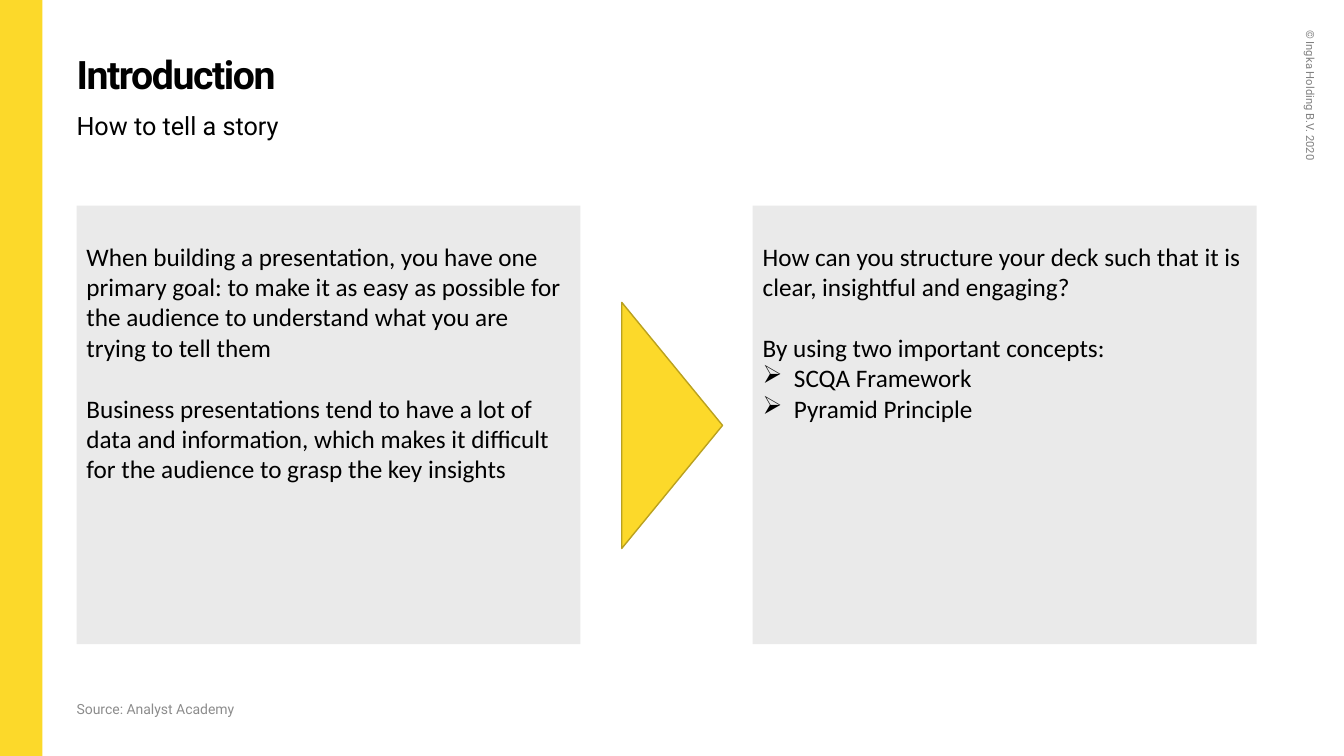
"""Build the introduction slide on how to tell a story."""
from dataclasses import dataclass

from lxml import etree
from pptx import Presentation
from pptx.dml.color import RGBColor
from pptx.enum.shapes import MSO_SHAPE
from pptx.enum.text import MSO_ANCHOR, PP_ALIGN
from pptx.oxml.ns import qn
from pptx.util import Cm, Pt

RECT, ARROW = MSO_SHAPE.RECTANGLE, MSO_SHAPE.RIGHT_ARROW
TOP, MIDDLE, BOTTOM = MSO_ANCHOR.TOP, MSO_ANCHOR.MIDDLE, MSO_ANCHOR.BOTTOM
LEFT = PP_ALIGN.LEFT


@dataclass(frozen=True)
class Theme:
    """Colours, fonts and type sizes of the slide."""
    yellow: str = "FCD92A"
    outline: str = "BAA11F"
    panel: str = "EAEAEA"
    ink: str = "000000"
    source: str = "8C8C8C"
    copyright: str = "808080"
    heading_font: str = "Roboto"
    body_font: str = "Calibri"
    title: int = 28
    body: int = 18
    small: int = 10
    tiny: int = 8


THEME = Theme()
MARGIN = 1.93
PANEL_TOP = 5.18
PANEL_LEFTS = (MARGIN, 18.97)
PANEL_TEXTS = (
    (("When building a presentation, you have one primary goal: to make it as easy "
      "as possible for the audience to understand what you are trying to tell them", False),
     ("Business presentations tend to have a lot of data and information, which makes "
      "it difficult for the audience to grasp the key insights", False)),
    (("How can you structure your deck such that it is clear, insightful and engaging?", False),
     ("By using two important concepts:", False),
     ("SCQA Framework", True),
     ("Pyramid Principle", True)),
)


def style_font(font, name, size, color, bold=False):
    """Set the face, size, colour and weight of a font."""
    font.name, font.size, font.bold = name, Pt(size), bold
    font.color.rgb = RGBColor.from_string(color)


def set_insets(tf, left, top, right, bottom):
    """Set the four text margins in centimetres."""
    tf.margin_left, tf.margin_top = Cm(left), Cm(top)
    tf.margin_right, tf.margin_bottom = Cm(right), Cm(bottom)


def add_block(s, preset, x, y, w, h, fill, outline=None):
    """Add a flat filled shape, outlined when a colour is given."""
    sp = s.shapes.add_shape(preset, Cm(x), Cm(y), Cm(w), Cm(h))
    sp.shadow.inherit = False
    sp.fill.solid()
    sp.fill.fore_color.rgb = RGBColor.from_string(fill)
    if outline:
        sp.line.color.rgb = RGBColor.from_string(outline)
        sp.line.width = Pt(1)
    else:
        sp.line.fill.background()
    return sp


def add_label(s, text, box, size, color, anchor=TOP, insets=(0, 0.13, 0.25, 0.13), bold=False):
    """Add a single-line text box in the heading font."""
    sp = s.shapes.add_textbox(*(Cm(v) for v in box))
    tf = sp.text_frame
    tf.word_wrap = True
    tf.vertical_anchor = anchor
    set_insets(tf, *insets)
    tf.text = text
    style_font(tf.paragraphs[0].runs[0].font, THEME.heading_font, size, color, bold)
    return sp


def add_bullet(p):
    """Give a paragraph an arrow bullet with a hanging indent."""
    pPr = p._p.get_or_add_pPr()
    pPr.set("marL", str(Cm(0.79)))
    pPr.set("indent", str(-Cm(0.79)))
    etree.SubElement(pPr, qn("a:buChar")).set("char", "➢")


def add_panel(s, x, items):
    """Add a grey panel of paragraphs, given as pairs of text and bullet flag."""
    tf = add_block(s, RECT, x, PANEL_TOP, 12.7, 11.05, THEME.panel).text_frame
    tf.word_wrap = True
    tf.vertical_anchor = TOP
    set_insets(tf, 0.25, 0.9, 0.25, 0.13)
    for i, (text, bulleted) in enumerate(items):
        p = tf.add_paragraph() if i else tf.paragraphs[0]
        p.text = text
        p.alignment = LEFT
        if bulleted:
            add_bullet(p)
        elif i:
            p.space_before = Pt(22)
        style_font(p.runs[0].font, THEME.body_font, THEME.body, THEME.ink)


def main():
    """Build the slide and save it."""
    prs = Presentation()
    prs.slide_width, prs.slide_height = Cm(33.87), Cm(19.05)
    s = prs.slides.add_slide(prs.slide_layouts[6])

    add_block(s, RECT, 0, 0, 1.07, 19.05, THEME.yellow)
    notice = add_label(s, "© Ingka Holding B.V. 2020", (29.03, 4.01, 8, 1),
                       THEME.tiny, THEME.copyright, MIDDLE, (0.25, 0.13, 0.25, 0.13))
    notice.rotation = 90

    title = add_label(s, "Introduction", (MARGIN, 0.76, 30.5, 1.83),
                      THEME.title, THEME.ink, BOTTOM, bold=True)
    p = title.text_frame.paragraphs[0]
    p.line_spacing = 0.9
    p.runs[0].font._element.set("spc", "-100")
    subtitle = add_label(s, "How to tell a story", (MARGIN, 2.64, 30.5, 1.14),
                         THEME.body, THEME.ink, MIDDLE)
    subtitle.text_frame.paragraphs[0].line_spacing = 0.9

    for x, items in zip(PANEL_LEFTS, PANEL_TEXTS):
        add_panel(s, x, items)
    arrow = add_block(s, ARROW, 15.67, 7.62, 2.54, 6.2, THEME.yellow, THEME.outline)
    arrow.adjustments[1] = 1.21

    add_label(s, "Source: Analyst Academy", (MARGIN, 17.65, 18.47, 1.02),
              THEME.small, THEME.source, insets=(0, 0, 0, 0))
    prs.save("out.pptx")


if __name__ == "__main__":
    main()
